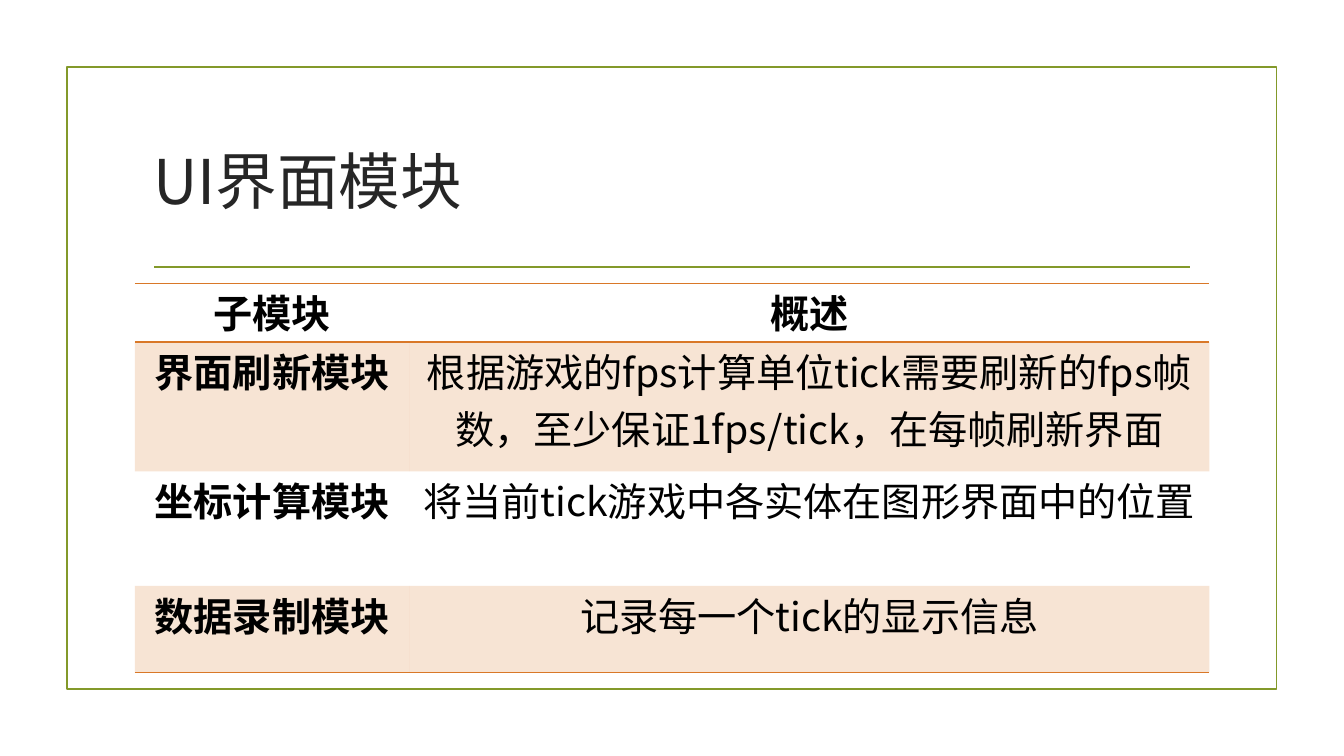
"""Build the UI module slide: a framed title above a table of submodules."""
from dataclasses import dataclass

from lxml import etree
from pptx import Presentation
from pptx.dml.color import RGBColor
from pptx.enum.shapes import MSO_CONNECTOR, MSO_SHAPE
from pptx.enum.text import MSO_ANCHOR, PP_ALIGN
from pptx.oxml.ns import qn
from pptx.util import Cm, Pt

RECTANGLE = MSO_SHAPE.RECTANGLE
STRAIGHT = MSO_CONNECTOR.STRAIGHT
MIDDLE = MSO_ANCHOR.MIDDLE
CENTER = PP_ALIGN.CENTER

TITLE = "UI界面模块"
ROWS = [
    ("子模块", "概述"),
    ("界面刷新模块", "根据游戏的fps计算单位tick需要刷新的fps帧数，至少保证1fps/tick，在每帧刷新界面"),
    ("坐标计算模块", "将当前tick游戏中各实体在图形界面中的位置"),
    ("数据录制模块", "记录每一个tick的显示信息"),
]
COLUMN_WIDTHS = (6.91, 20.17)
ROW_HEIGHTS = (1.48, 3.26, 2.88, 2.18)
BORDERS = {0: ("lnT", "lnB"), len(ROWS) - 1: ("lnB",)}
NO_STYLE = "{2D5ABB26-0587-4C30-8999-92F81FD0307C}"


@dataclass(frozen=True)
class Theme:
    """Colours, fonts and sizes of the slide."""
    green: str = "83992A"
    orange: str = "D97828"
    title_color: str = "262626"
    body_color: str = "000000"
    title_font: str = "Noto Sans CJK JP"
    body_font: str = "Noto Sans CJK SC"
    title_size: int = 44
    body_size: int = 28
    rule_width: float = 1.25
    border_width: int = 1
    band_alpha: int = 20


THEME = Theme()


def style_text(para, font_name, size, color, bold=False):
    """Format every run, for Latin and East Asian text alike."""
    for span in para.runs:
        span.font.size = Pt(size)
        span.font.bold = bold
        span.font.name = font_name
        span.font.color.rgb = RGBColor.from_string(color)
        properties = span.font._element
        etree.SubElement(properties, qn("a:ea"), typeface=font_name)


def style_line(line):
    """Give a line the green rule look."""
    line.color.rgb = RGBColor.from_string(THEME.green)
    line.width = Pt(THEME.rule_width)


def add_border(cell, side):
    """Draw one border of a table cell."""
    border = etree.SubElement(cell._tc.get_or_add_tcPr(), qn(f"a:{side}"),
                              w=str(Pt(THEME.border_width)))
    fill = etree.SubElement(border, qn("a:solidFill"))
    etree.SubElement(fill, qn("a:srgbClr"), val=THEME.orange)


def tint(cell):
    """Fill a cell with the translucent band colour."""
    cell.fill.solid()
    cell.fill.fore_color.rgb = RGBColor.from_string(THEME.orange)
    color = cell._tc.tcPr.find(qn("a:solidFill")).find(qn("a:srgbClr"))
    etree.SubElement(color, qn("a:alpha"), val=str(THEME.band_alpha * 1000))


def add_frame(page):
    """Add the outer frame and the rule below the title."""
    frame = page.shapes.add_shape(RECTANGLE, Cm(1.69), Cm(1.69), Cm(30.48), Cm(15.67))
    frame.shadow.inherit = False
    frame.fill.background()
    style_line(frame.line)
    rule = page.shapes.add_connector(STRAIGHT, Cm(3.89), Cm(6.73), Cm(30), Cm(6.73))
    style_line(rule.line)
    etree.SubElement(rule._element.spPr, qn("a:effectLst"))


def add_title(page):
    """Add the slide title."""
    box = page.shapes.add_textbox(Cm(3.61), Cm(2.72), Cm(26.67), Cm(3.63))
    box.text_frame.word_wrap = True
    box.text_frame.vertical_anchor = MIDDLE
    box.text_frame.text = TITLE
    style_text(box.text_frame.paragraphs[0], THEME.title_font, THEME.title_size, THEME.title_color)


def add_modules(page):
    """Add the table of submodules."""
    holder = page.shapes.add_table(len(ROWS), len(COLUMN_WIDTHS), Cm(3.4), Cm(7.14),
                                   Cm(sum(COLUMN_WIDTHS)), Cm(sum(ROW_HEIGHTS)))
    table = holder.table
    table._tbl.tblPr.find(qn("a:tableStyleId")).text = NO_STYLE
    for column, width in zip(table.columns, COLUMN_WIDTHS):
        column.width = Cm(width)
    for row, height in zip(table.rows, ROW_HEIGHTS):
        row.height = Cm(height)
    for r, texts in enumerate(ROWS):
        for c, text in enumerate(texts):
            cell = table.cell(r, c)
            cell.margin_left = cell.margin_right = Cm(0.2)
            cell.margin_top = cell.margin_bottom = 0
            cell.text_frame.text = text
            para = cell.text_frame.paragraphs[0]
            para.alignment = CENTER
            style_text(para, THEME.body_font, THEME.body_size, THEME.body_color,
                       bold=r == 0 or c == 0)
            for side in BORDERS.get(r, ()):
                add_border(cell, side)
            if r % 2:
                tint(cell)
            else:
                cell.fill.background()


def main():
    """Build and save the deck."""
    deck = Presentation()
    deck.slide_width, deck.slide_height = Cm(33.87), Cm(19.05)
    page = deck.slides.add_slide(deck.slide_layouts[6])
    add_frame(page)
    add_title(page)
    add_modules(page)
    deck.save("out.pptx")


if __name__ == "__main__":
    main()
